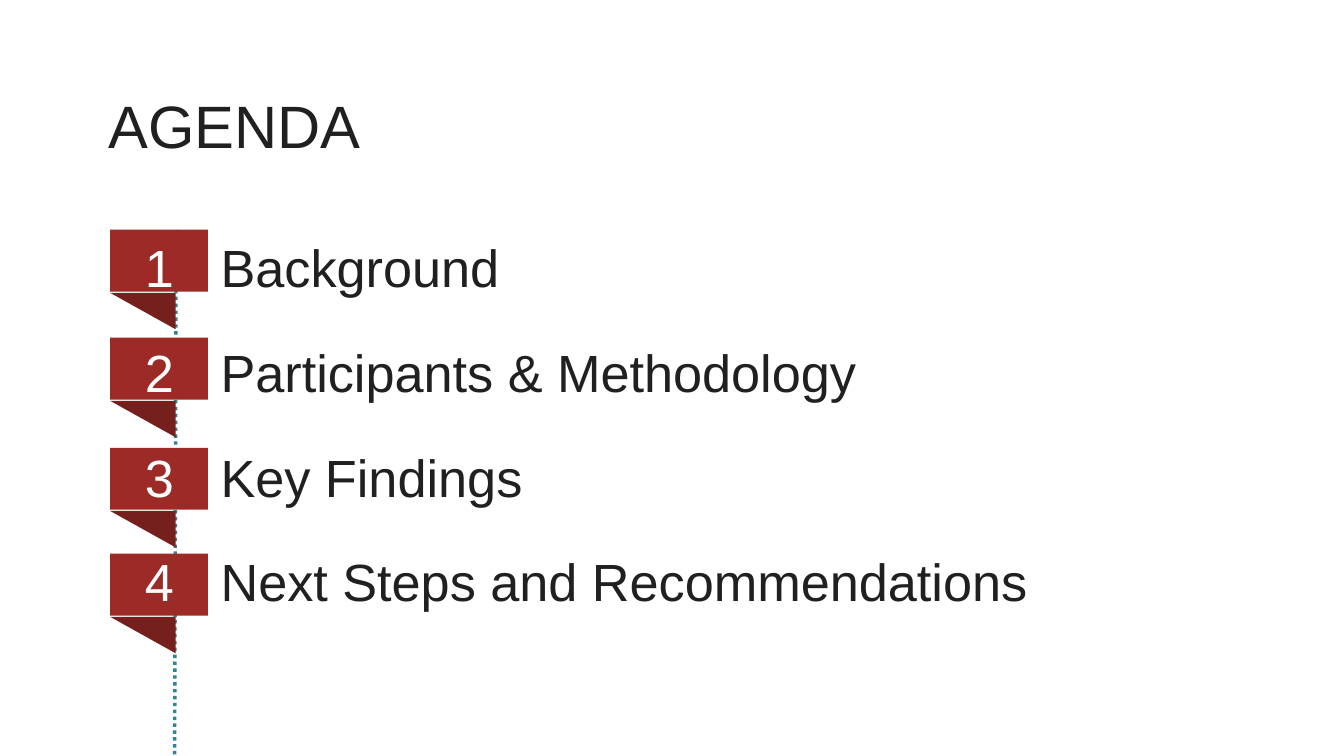
import dataclasses

import lxml.etree
import pptx
import pptx.dml.color
import pptx.enum.dml
import pptx.enum.shapes
import pptx.oxml.ns
import pptx.util

Cm, Pt = pptx.util.Cm, pptx.util.Pt
Kind = pptx.enum.shapes.MSO_SHAPE
qn = pptx.oxml.ns.qn

INK, RED, DARK, TEAL, WHITE = "202020", "9C2A27", "76201E", "2F8394", "FFFFFF"
LEFT = 2.08


@dataclasses.dataclass
class Item:
    top: float
    label: str


ITEMS = [
    Item(4.34, "Background"),
    Item(6.38, "Participants & Methodology"),
    Item(8.46, "Key Findings"),
    Item(10.46, "Next Steps and Recommendations"),
]


def color(code: str) -> pptx.dml.color.RGBColor:
    return pptx.dml.color.RGBColor.from_string(code)


def add(parent, tag: str, **attrs: str):
    return lxml.etree.SubElement(parent, qn(tag), attrs)


def block(slide, kind, left: float, top: float, width: float, height: float, fill: str):
    shape = slide.shapes.add_shape(kind, Cm(left), Cm(top), Cm(width), Cm(height))
    shape.shadow.inherit = False
    shape.fill.solid()
    shape.fill.fore_color.rgb = color(fill)
    shape.line.fill.background()
    return shape


def flag(slide, item: Item) -> None:
    fold = block(slide, Kind.RIGHT_TRIANGLE, LEFT, item.top + 1.19, 1.24, 0.69, DARK)
    fold.rotation = 180
    block(slide, Kind.RECTANGLE, LEFT, item.top, 1.85, 1.17, RED)


def write(slide, left: float, top: float, width: float, height: float,
          lines: list[str], size: int):
    box = slide.shapes.add_textbox(Cm(left), Cm(top), Cm(width), Cm(height))
    frame = box.text_frame
    frame.word_wrap = True
    frame.text = "\n".join(lines)
    for para in frame.paragraphs:
        gap = add(para._p.get_or_add_pPr(), "a:spcBef")
        add(gap, "a:spcPct", val="20000")
        for run in para.runs:
            run.font.name = "Arial"
            run.font.size = Pt(size)
            run.font.color.rgb = color(INK)
    return frame


def number(para) -> None:
    para.line_spacing = 1.5
    props = para._p.get_or_add_pPr()
    props.set("marL", str(Cm(1.43)))
    props.set("indent", str(-Cm(1.43)))
    add(add(props, "a:buClr"), "a:srgbClr", val=WHITE)
    add(props, "a:buFont", typeface="Arial")
    add(props, "a:buAutoNum", type="arabicPlain")


deck = pptx.Presentation()
deck.slide_width, deck.slide_height = Cm(25.4), Cm(14.28)
slide = deck.slides.add_slide(deck.slide_layouts[6])

# Dotted guide behind the flags
guide = slide.shapes.add_connector(
    pptx.enum.shapes.MSO_CONNECTOR.STRAIGHT, Cm(3.3), Cm(14.38), Cm(3.33), Cm(4.34))
guide.line.color.rgb = color(TEAL)
guide.line.width = Pt(1.85)
guide.line.dash_style = pptx.enum.dml.MSO_LINE.ROUND_DOT
add(guide._element.spPr, "a:effectLst")

# Heading
write(slide, 1.8, 1.55, 16.05, 1.57, ["AGENDA"], 32)

# Flags and numbered list
for item in ITEMS:
    flag(slide, item)
agenda = write(slide, 2.49, 3.73, 19.28, 9.8, [item.label for item in ITEMS], 28)
for para in agenda.paragraphs:
    number(para)

deck.save("out.pptx")
